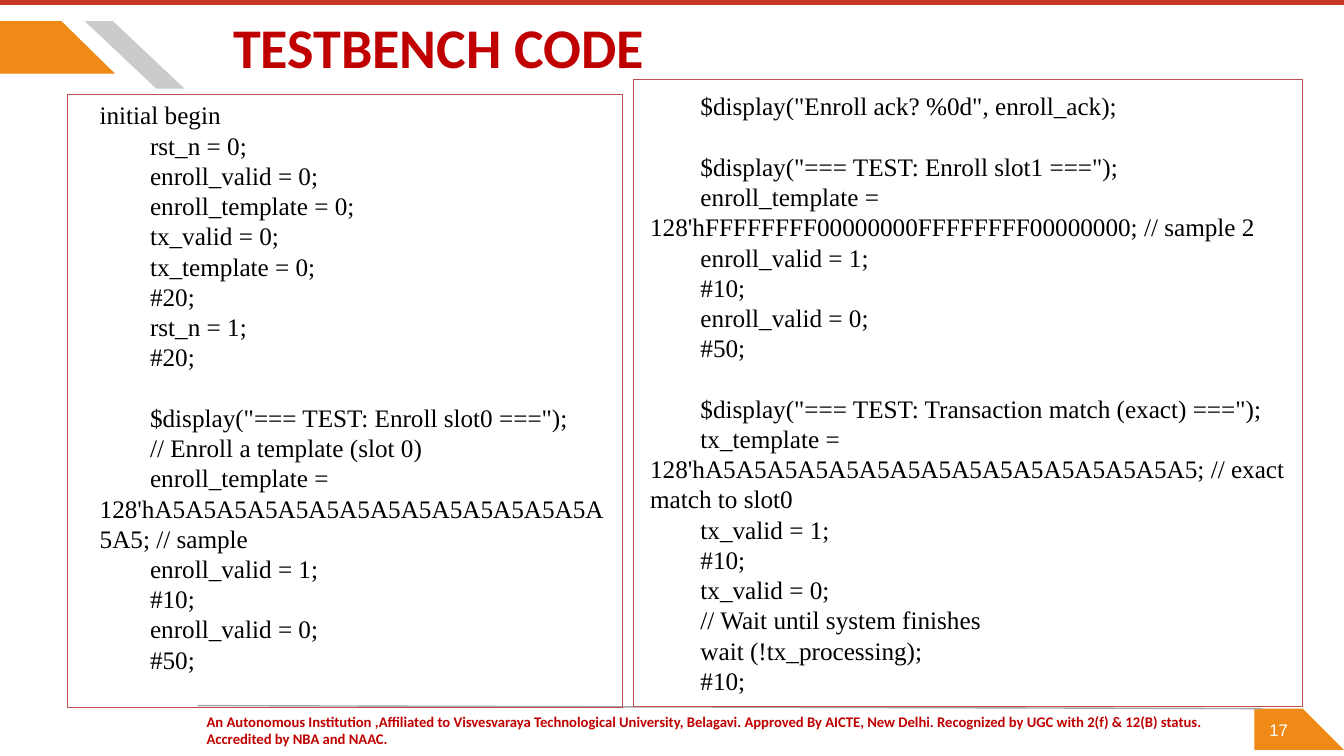
from pptx import Presentation
from pptx.dml.color import RGBColor
from pptx.enum.shapes import MSO_CONNECTOR as CONN, MSO_SHAPE as SHAPE
from pptx.enum.text import PP_ALIGN
from pptx.oxml.ns import qn
from pptx.util import Pt
from lxml import etree

PX = 9144  # EMU per px, 100 px to the inch
RED = RGBColor(0xC0, 0x00, 0x00)
BAR_RED = RGBColor(0xC4, 0x37, 0x27)
FRAME_RED = RGBColor(0xC0, 0x50, 0x4D)
ORANGE = RGBColor(0xF0, 0x8A, 0x17)
STRIPE_GREY = RGBColor(0x7E, 0x7E, 0x7E)
RULE_GREY = RGBColor(0xA6, 0xA6, 0xA6)
BLACK = RGBColor(0, 0, 0)
WHITE = RGBColor(0xFF, 0xFF, 0xFF)

# Content
TITLE = ["TESTBENCH CODE"]
FOOTER = [
    "An Autonomous Institution ,Affiliated to Visvesvaraya Technological University, Belagavi. "
    "Approved By AICTE, New Delhi. Recognized by UGC with 2(f) & 12(B) status.",
    "Accredited by NBA and NAAC.",
]
PAGE = ["17"]
# Each code column: text box, frame, blocks of lines
CODE = [
    ((89, 94, 521, 646), (67, 94, 550, 608), [
        """initial begin
        rst_n = 0;
        enroll_valid = 0;
        enroll_template = 0;
        tx_valid = 0;
        tx_template = 0;
        #20;
        rst_n = 1;
        #20;""",
        """        $display("=== TEST: Enroll slot0 ===");
        // Enroll a template (slot 0)
        enroll_template = 128'hA5A5A5A5A5A5A5A5A5A5A5A5A5A5A5A5; // sample
        enroll_valid = 1;
        #10;
        enroll_valid = 0;
        #50;""",
    ]),
    ((635, 85, 683, 616), (628, 79, 664, 622), [
        """        $display("Enroll ack? %0d", enroll_ack);""",
        """        $display("=== TEST: Enroll slot1 ===");
        enroll_template = 128'hFFFFFFFF00000000FFFFFFFF00000000; // sample 2
        enroll_valid = 1;
        #10;
        enroll_valid = 0;
        #50;""",
        """        $display("=== TEST: Transaction match (exact) ===");
        tx_template = 128'hA5A5A5A5A5A5A5A5A5A5A5A5A5A5A5A5; // exact match to slot0
        tx_valid = 1;
        #10;
        tx_valid = 0;
        // Wait until system finishes
        wait (!tx_processing);
        #10;""",
    ]),
]
BLOCK_GAP = Pt(21.6)  # one code line

# Decoration: colour, opacity in percent, corners
BANDS = [
    (ORANGE, 100, [(1292, 703), (1244, 703), (1244, 744), (1333, 744)]),
    (BAR_RED, 100, [(0, 0), (1333, 0), (1333, 5), (0, 5)]),
    (ORANGE, 100, [(61, 21), (0, 21), (0, 73), (114, 73)]),
    (STRIPE_GREY, 40, [(112, 21), (84, 21), (155, 88), (183, 88)]),
]

prs = Presentation()
prs.slide_width, prs.slide_height = 1333 * PX, 750 * PX
slide = prs.slides.add_slide(prs.slide_layouts[6])
shapes = slide.shapes


def emu(box):
    return [v * PX for v in box]


def add_band(color, opacity, corners):
    builder = shapes.build_freeform(*corners[0], scale=PX)
    builder.add_line_segments(corners[1:], close=True)
    band = builder.convert_to_shape()
    band.shadow.inherit = False
    band.fill.solid()
    band.fill.fore_color.rgb = color
    band.line.fill.background()
    if opacity < 100:
        clr = band.fill._xPr.find(".//" + qn("a:srgbClr"))
        etree.SubElement(clr, qn("a:alpha")).set("val", str(opacity * 1000))


def add_text(box, lines, font, size, color, bold=False, margins=(0, 0)):
    frame = shapes.add_textbox(*emu(box)).text_frame
    frame.word_wrap = True
    frame.margin_left = frame.margin_right = margins[0] * PX
    frame.margin_top = frame.margin_bottom = margins[1] * PX
    frame.text = "\n".join(lines)
    for paragraph in frame.paragraphs:
        for run in paragraph.runs:
            run.font.name, run.font.size, run.font.bold = font, Pt(size), bold
            run.font.color.rgb = color
    return frame.paragraphs


# Bands and footer rule
for band in BANDS:
    add_band(*band)
rule = shapes.add_connector(CONN.STRAIGHT, *emu((1252, 703, 196, 700)))
rule.line.color.rgb = RULE_GREY
rule.line.width = Pt(1)
etree.SubElement(rule._element.spPr, qn("a:effectLst"))

# Title, footer and page number
title = add_text((204, 12, 462, 69), TITLE, "Calibri", 40, RED, True)
title[0].alignment = PP_ALIGN.CENTER
footer = add_text((205, 709, 1004, 35), FOOTER, "Calibri", 10.5, RED, True)
footer[0].line_spacing = Pt(11)
page = add_text((1259, 714, 26, 21), PAGE, "Arial", 12, WHITE)
page[0].line_spacing = Pt(14.2)

# Code columns
for text_box, frame_box, blocks in CODE:
    groups = [block.split("\n") for block in blocks]
    paragraphs = add_text(text_box, sum(groups, []), "Times New Roman", 18, BLACK,
                          margins=(10, 5))
    start = 0
    for group in groups[:-1]:
        start += len(group)
        paragraphs[start].space_before = BLOCK_GAP
    outline = shapes.add_shape(SHAPE.RECTANGLE, *emu(frame_box))
    outline.shadow.inherit = False
    outline.fill.background()
    outline.line.color.rgb = FRAME_RED
    outline.line.width = Pt(0.75)

prs.save("out.pptx")
